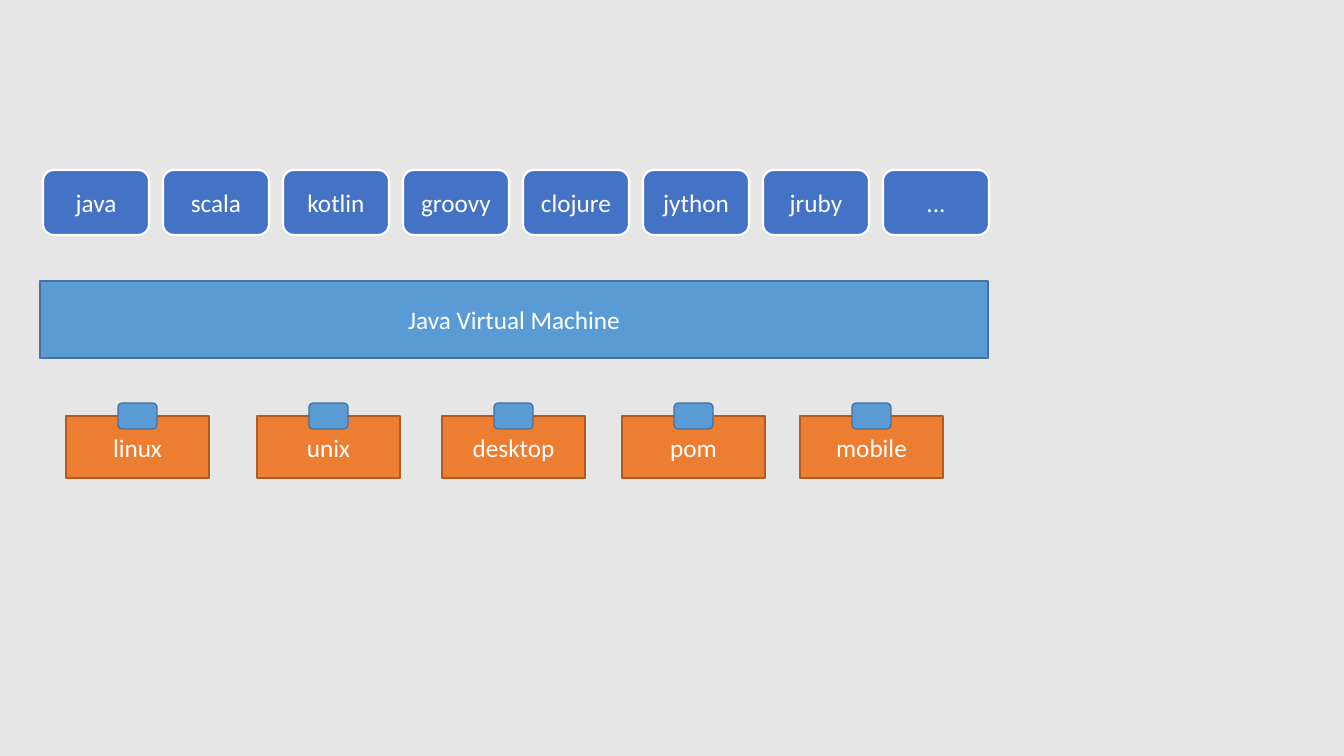
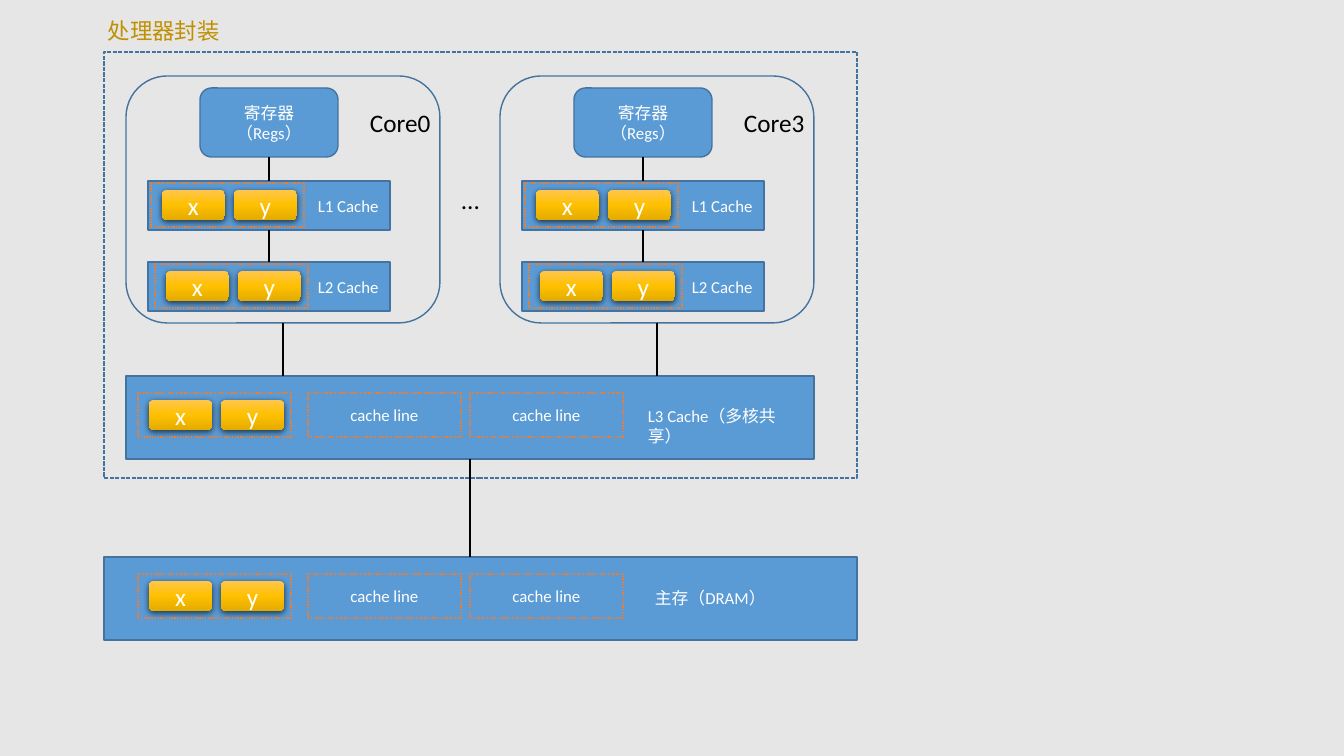
from pptx import Presentation
from pptx.dml.color import RGBColor
from pptx.enum.dml import MSO_LINE as Dash
from pptx.enum.shapes import MSO_CONNECTOR as Connector, MSO_SHAPE as Shape
from pptx.enum.text import MSO_ANCHOR as Anchor, MSO_AUTO_SIZE as AutoSize, PP_ALIGN as Align
from pptx.oxml import parse_xml
from pptx.oxml.ns import nsdecls, qn
from pptx.util import Pt

SLIDE_WIDTH, SLIDE_HEIGHT = 1344, 756
SCALE = 12192000 / SLIDE_WIDTH
FONT = "Calibri"

GREY = RGBColor(0xE7, 0xE6, 0xE6)
WHITE = RGBColor(0xFF, 0xFF, 0xFF)
BLACK = RGBColor(0x00, 0x00, 0x00)
INDIGO = RGBColor(0x44, 0x72, 0xC4)
BLUE = RGBColor(0x5B, 0x9B, 0xD5)
DARK_BLUE = RGBColor(0x43, 0x73, 0x9E)
ORANGE = RGBColor(0xED, 0x7D, 0x31)
DARK_ORANGE = RGBColor(0xAF, 0x5C, 0x24)
DARK_GOLD = RGBColor(0xBF, 0x90, 0x00)
GOLD_STOPS = (
    (0, RGBColor(0xFF, 0xC6, 0x4B)),
    (50, RGBColor(0xFF, 0xC0, 0x00)),
    (100, RGBColor(0xE3, 0xAB, 0x00)),
)

LANGUAGES = ("java", "scala", "kotlin", "groovy", "clojure", "jython", "jruby", "...")
SYSTEMS = (("linux", 66), ("unix", 257), ("desktop", 442), ("pom", 622), ("mobile", 800))
CHIP_WIDTH, CHIP_HEIGHT, CHIP_PITCH = 63, 30, 72
LINE_WIDTH, LINE_HEIGHT = 153, 44


def px(length):
    """Turn px into EMU."""
    return round(length * SCALE)


def write(shape, text, size, color, align):
    """Put one styled paragraph into a shape."""
    para = shape.text_frame.paragraphs[0]
    para.text = text
    para.alignment = align
    para.font.name = FONT
    para.font.size = Pt(size)
    para.font.color.rgb = color


def add_box(page, box, fill=None, line=None, text="", size=18,
            kind=Shape.RECTANGLE, dash=None, weight=1):
    """Draw a preset shape with centred white text."""
    shape = page.shapes.add_shape(kind, *map(px, box))
    shape.shadow.inherit = False
    if fill is None:
        shape.fill.background()
    else:
        shape.fill.solid()
        shape.fill.fore_color.rgb = fill
    if line is None:
        shape.line.fill.background()
    else:
        shape.line.color.rgb = line
        shape.line.width = Pt(weight)
        if dash is not None:
            shape.line.dash_style = dash
    shape.text_frame.word_wrap = True
    shape.text_frame.vertical_anchor = Anchor.MIDDLE
    if text:
        write(shape, text, size, WHITE, Align.CENTER)
    return shape


def add_label(page, box, text, size, color, wrap=False):
    """Draw a left-aligned text box."""
    label = page.shapes.add_textbox(*map(px, box))
    label.text_frame.word_wrap = wrap
    label.text_frame.auto_size = AutoSize.SHAPE_TO_FIT_TEXT
    write(label, text, size, color, Align.LEFT)


def add_link(page, upper, lower=None, drop=0):
    """Draw a line down from a shape to another one, or by a given drop."""
    left = upper.left + upper.width // 2
    bottom = upper.top + upper.height
    link = page.shapes.add_connector(Connector.STRAIGHT, left, bottom, left, bottom + px(drop))
    link.begin_connect(upper, 2)
    if lower is not None:
        link.end_connect(lower, 0)
    link.line.color.rgb = BLACK
    link.line.width = Pt(1)
    link._element.spPr.append(parse_xml(f"<a:effectLst {nsdecls('a')}/>"))


def add_variable(page, left, top, name):
    """Draw a golden chip that holds a variable."""
    box = (left, top, CHIP_WIDTH, CHIP_HEIGHT)
    chip = add_box(page, box, text=name, kind=Shape.ROUNDED_RECTANGLE)
    stops = "".join(
        f'<a:gs pos="{place * 1000}"><a:srgbClr val="{color}"/></a:gs>'
        for place, color in GOLD_STOPS
    )
    properties = chip._element.spPr
    properties.replace(properties.find(qn("a:noFill")), parse_xml(
        f'<a:gradFill {nsdecls("a")} rotWithShape="1"><a:gsLst>{stops}</a:gsLst>'
        '<a:lin ang="5400000" scaled="0"/></a:gradFill>'))
    properties.replace(properties.find(qn("a:effectLst")), parse_xml(
        f'<a:effectLst {nsdecls("a")}><a:outerShdw blurRad="57150" dist="19050" '
        'dir="5400000" algn="ctr" rotWithShape="0"><a:srgbClr val="000000">'
        '<a:alpha val="63000"/></a:srgbClr></a:outerShdw></a:effectLst>'))


def add_cache_line(page, left, top, text=""):
    """Draw a dotted cache line, holding x and y unless it has a text."""
    if not text:
        for index, name in enumerate("xy"):
            add_variable(page, left + 11 + index * CHIP_PITCH, top + 7, name)
    add_box(page, (left, top, LINE_WIDTH, LINE_HEIGHT), line=ORANGE, text=text,
            size=12, dash=Dash.ROUND_DOT)


def add_core_cache(page, box, text, inset):
    """Draw a private cache of a core with its cache line and label."""
    left, top, width, height = box
    bar = add_box(page, box, BLUE, DARK_BLUE)
    add_cache_line(page, left + inset, top + 2)
    add_label(page, (left + 160, top + 10, 81, 30), text, 12, WHITE)
    return bar


def add_core(page, box, name):
    """Draw a core with registers and two caches."""
    left, top, width, height = box
    core = add_box(page, box, line=DARK_BLUE, kind=Shape.ROUNDED_RECTANGLE)
    registers = add_box(page, (left + 74, top + 12, 138, 69), BLUE, DARK_BLUE,
                        "寄存器（Regs）", 12, Shape.ROUNDED_RECTANGLE)
    first = add_core_cache(page, (left + 22, top + 105, 242, 49), "L1 Cache", 3)
    second = add_core_cache(page, (left + 22, top + 186, 242, 49), "L2 Cache", 7)
    add_label(page, (left + 234, top + 26, 81, 40), name, 18, BLACK)
    add_link(page, registers, first)
    add_link(page, first, second)
    return core


def add_store(page, box, inset, label_box, text):
    """Draw a shared store with three cache lines and a label."""
    left, top, width, height = box
    store = add_box(page, box, BLUE, DARK_BLUE)
    for offset, line_text in ((0, ""), (170, "cache line"), (332, "cache line")):
        add_cache_line(page, left + inset + offset, top + 17, line_text)
    label_left, label_top, label_width, label_height = label_box
    add_label(page, (left + label_left, top + label_top, label_width, label_height),
              text, 12, WHITE, wrap=True)
    return store


def add_language_row(page, box):
    """Draw the row of languages at an even pitch."""
    left, top, width, height = box
    gap = 14
    chip_width = (width + gap) // len(LANGUAGES) - gap
    for index, name in enumerate(LANGUAGES):
        chip = (left + index * (chip_width + gap), top, chip_width, height)
        add_box(page, chip, INDIGO, WHITE, name, kind=Shape.ROUNDED_RECTANGLE, weight=1.5)


def add_system(page, box, name):
    """Draw an operating system with a plug on its top edge."""
    left, top, width, height = box
    plug_width, plug_height = 39, 26
    add_box(page, box, ORANGE, DARK_ORANGE, name)
    plug = (left + (width - plug_width) // 2, top - plug_height // 2, plug_width, plug_height)
    add_box(page, plug, BLUE, DARK_BLUE, kind=Shape.ROUNDED_RECTANGLE)


def add_page(deck):
    """Add a blank grey slide."""
    page = deck.slides.add_slide(deck.slide_layouts[6])
    page.background.fill.solid()
    page.background.fill.fore_color.rgb = GREY
    return page


def build_machine_page(deck):
    """Build the slide on languages, virtual machine and systems."""
    page = add_page(deck)
    add_language_row(page, (43, 170, 946, 65))
    add_box(page, (40, 281, 948, 77), BLUE, DARK_BLUE, "Java Virtual Machine")
    for name, left in SYSTEMS:
        add_system(page, (left, 416, 143, 62), name)


def build_cache_page(deck):
    """Build the slide on the processor caches and main memory."""
    page = add_page(deck)
    add_box(page, (104, 52, 753, 426), line=DARK_BLUE, dash=Dash.SQUARE_DOT)
    add_label(page, (98, 12, 133, 37), "处理器封装", 16, DARK_GOLD)
    shared = add_store(page, (126, 376, 688, 83), 12, (512, 25, 169, 30), "L3 Cache（多核共享）")
    add_store(page, (104, 557, 753, 83), 34, (541, 26, 131, 30), "主存（DRAM）")
    for left, name in ((126, "Core0"), (500, "Core3")):
        core = add_core(page, (left, 76, 314, 247), name)
        add_link(page, core, drop=53)
    add_label(page, (451, 179, 39, 40), "...", 18, BLACK, wrap=True)
    add_link(page, shared, drop=98)


def main():
    """Build and save the deck."""
    deck = Presentation()
    deck.slide_width, deck.slide_height = px(SLIDE_WIDTH), px(SLIDE_HEIGHT)
    build_machine_page(deck)
    build_cache_page(deck)
    deck.save("out.pptx")


if __name__ == "__main__":
    main()
